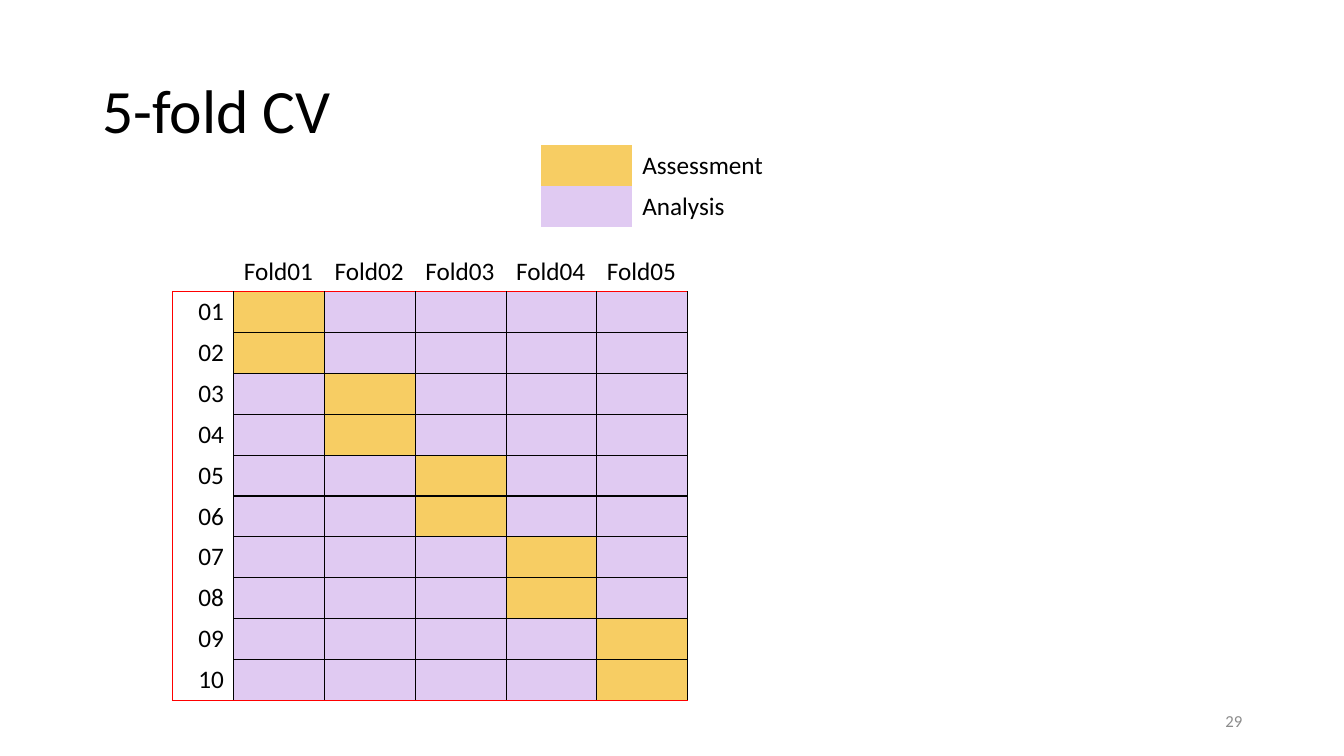
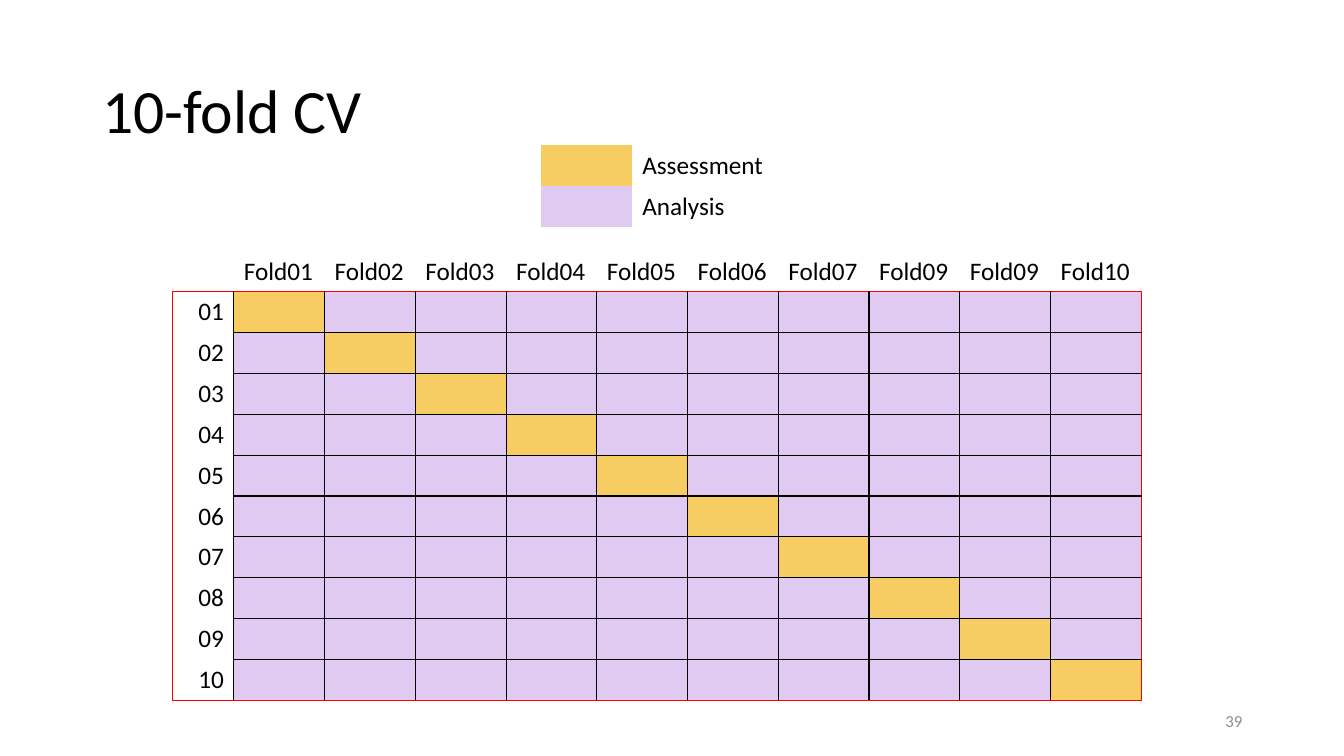
from lxml.etree import SubElement
from pptx import Presentation
from pptx.dml.color import RGBColor
from pptx.enum.text import MSO_ANCHOR, PP_ALIGN
from pptx.oxml.ns import qn
from pptx.util import Inches, Pt

BLACK = RGBColor(0x00, 0x00, 0x00)
RED = RGBColor(0xFF, 0x00, 0x00)
GRAY = RGBColor(0x8C, 0x8C, 0x8C)
GOLD = RGBColor(0xF7, 0xCD, 0x63)
LILAC = RGBColor(0xE0, 0xCA, 0xF2)

SLIDES = [
    {"title": "5-fold CV", "number": "29", "right_edge": BLACK,
     "folds": ["Fold01", "Fold02", "Fold03", "Fold04", "Fold05"]},
    {"title": "10-fold CV", "number": "39", "right_edge": RED,
     "folds": ["Fold01", "Fold02", "Fold03", "Fold04", "Fold05",
               "Fold06", "Fold07", "Fold09", "Fold09", "Fold10"]},
]
SAMPLES = ["01", "02", "03", "04", "05", "06", "07", "08", "09", "10"]
LEGEND = [("Assessment", GOLD), ("Analysis", LILAC)]

TITLE = {"size": Pt(44), "name": "Calibri"}
BODY = {"size": Pt(18), "name": "Calibri"}
NUMBER = {"size": Pt(12), "name": "Calibri"}

NO_STYLE = "{2D5ABB26-0587-4C30-8999-92F81FD0307C}"
LABEL_WIDTH, FOLD_WIDTH, LEGEND_WIDTH = 0.61, 0.9, 1.4
GRID_HEIGHT, LEGEND_HEIGHT = 4.46, 0.81


def write(frame, text, font, color=BLACK, align=PP_ALIGN.LEFT, spacing=None):
    paragraph = frame.paragraphs[0]
    paragraph.alignment = align
    paragraph.line_spacing = spacing
    run = paragraph.add_run()
    run.text = text
    for key, value in font.items():
        setattr(run.font, key, value)
    run.font.color.rgb = color


def add_text(slide, box, text, font, **look):
    frame = slide.shapes.add_textbox(*map(Inches, box)).text_frame
    frame.word_wrap = True
    frame.vertical_anchor = MSO_ANCHOR.MIDDLE
    write(frame, text, font, **look)


def add_plain_table(slide, left, top, widths, height, rows):
    box = map(Inches, (left, top, sum(widths), height))
    table = slide.shapes.add_table(rows, len(widths), *box).table
    table.first_row = table.horz_banding = False
    table._tbl.tblPr.find(qn("a:tableStyleId")).text = NO_STYLE
    for column, width in zip(table.columns, widths):
        column.width = Inches(width)
    return table


def paint(cell, color=None):
    if color is None:
        cell.fill.background()
    else:
        cell.fill.solid()
        cell.fill.fore_color.rgb = color


def set_borders(cell, **edges):
    properties = cell._tc.get_or_add_tcPr()
    for side in "LRTB":
        color = edges.get(side)
        line = SubElement(properties, qn(f"a:ln{side}"), w=str(Pt(1)))
        if color is None:
            SubElement(line, qn("a:noFill"))
        else:
            fill = SubElement(line, qn("a:solidFill"))
            SubElement(fill, qn("a:srgbClr"), val=str(color))


def add_fold_grid(slide, folds, right_edge):
    widths = [LABEL_WIDTH] + [FOLD_WIDTH] * len(folds)
    last_row, last_column = len(SAMPLES), len(folds)
    samples_per_fold = len(SAMPLES) // len(folds)
    grid = add_plain_table(slide, 1.71, 2.49, widths, GRID_HEIGHT, last_row + 1)

    set_borders(grid.cell(0, 0), B=RED)
    paint(grid.cell(0, 0))
    for column, fold in enumerate(folds, 1):
        header = grid.cell(0, column)
        set_borders(header, B=RED)
        paint(header)
        write(header.text_frame, fold, BODY)

    for row, sample in enumerate(SAMPLES, 1):
        top = RED if row == 1 else None
        bottom = RED if row == last_row else None
        label = grid.cell(row, 0)
        set_borders(label, L=RED, R=BLACK, T=top, B=bottom)
        paint(label)
        write(label.text_frame, sample, BODY, align=PP_ALIGN.RIGHT)
        assessed = (row - 1) // samples_per_fold + 1
        for column in range(1, last_column + 1):
            cell = grid.cell(row, column)
            right = right_edge if column == last_column else BLACK
            set_borders(cell, L=BLACK, R=right, T=top or BLACK, B=bottom or BLACK)
            paint(cell, GOLD if column == assessed else LILAC)


def add_legend(slide):
    legend = add_plain_table(slide, 5.37, 1.44, [FOLD_WIDTH, LEGEND_WIDTH],
                             LEGEND_HEIGHT, len(LEGEND))
    for row, (meaning, color) in enumerate(LEGEND):
        paint(legend.cell(row, 0), color)
        paint(legend.cell(row, 1))
        write(legend.cell(row, 1).text_frame, meaning, BODY)


deck = Presentation()
deck.slide_width, deck.slide_height = Inches(13.33), Inches(7.5)
for content in SLIDES:
    slide = deck.slides.add_slide(deck.slide_layouts[6])
    add_text(slide, (0.92, 0.4, 11.5, 1.45), content["title"], TITLE, spacing=0.9)
    add_text(slide, (9.42, 6.95, 3, 0.4), content["number"], NUMBER,
             color=GRAY, align=PP_ALIGN.RIGHT)
    add_fold_grid(slide, content["folds"], content["right_edge"])
    add_legend(slide)
deck.save("out.pptx")
